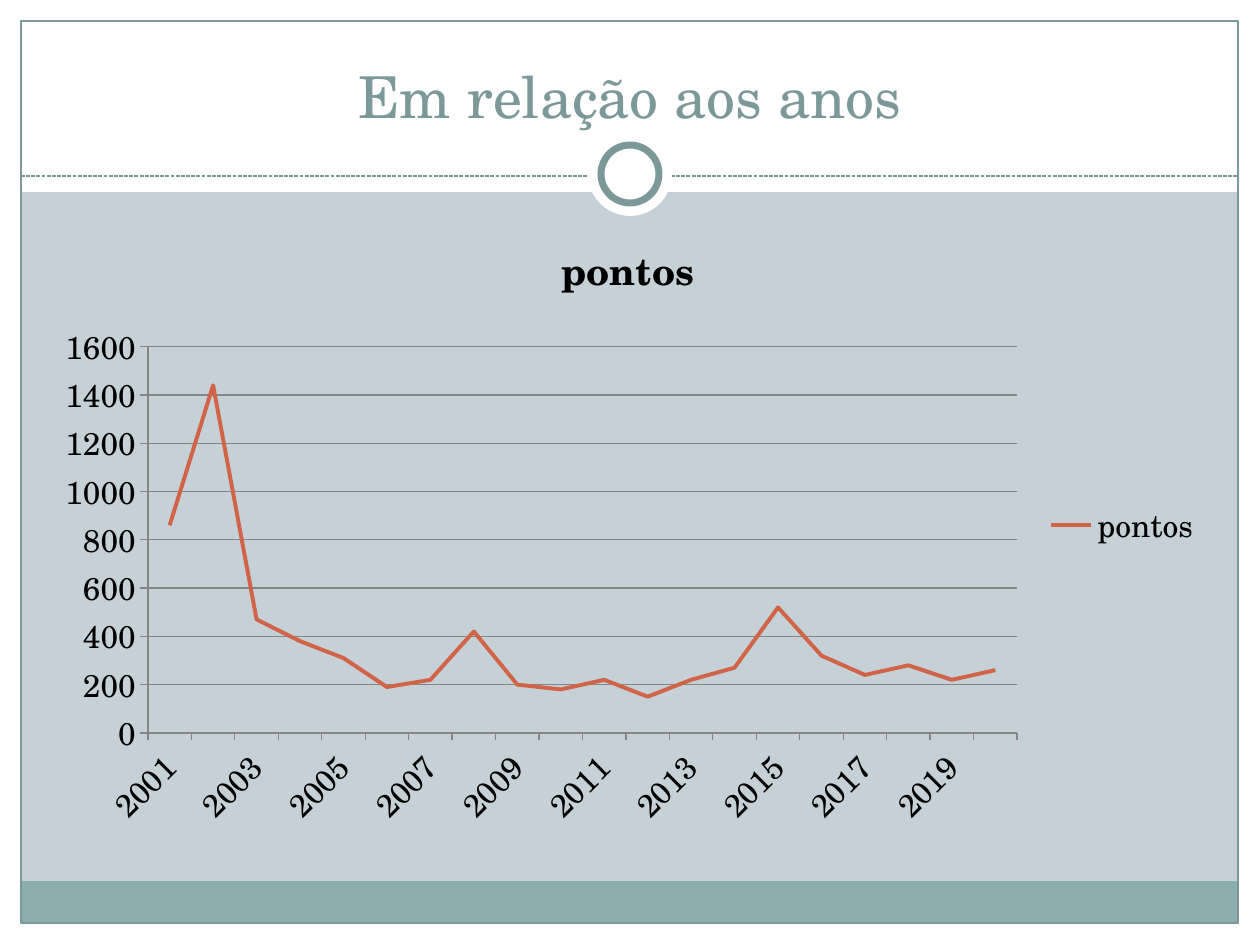
from lxml.etree import SubElement
from pptx import Presentation
from pptx.chart.data import CategoryChartData
from pptx.dml.color import RGBColor
from pptx.enum.chart import XL_CHART_TYPE as CHART, XL_LEGEND_POSITION as LEGEND, XL_TICK_MARK as TICK
from pptx.enum.dml import MSO_LINE as DASH
from pptx.enum.shapes import MSO_CONNECTOR as CONN, MSO_SHAPE as SHAPE
from pptx.enum.text import MSO_ANCHOR as ANCHOR, MSO_AUTO_SIZE as AUTOSIZE, PP_ALIGN as ALIGN
from pptx.oxml.ns import qn
from pptx.util import Pt

EMU_PER_PX = 914400 / 126
FONT = "TeX Gyre Schola"
WHITE, TEAL, BAND, BACK = "FFFFFF", "7C999A", "8CADAE", "C5D1D7"
BLACK, GRID, ORANGE = "000000", "868686", "D16349"
POINTS = [860, 1440, 470, 380, 310, 190, 220, 420, 200, 180,
          220, 150, 220, 270, 520, 320, 240, 280, 220, 260]


def px(*values):
    return [round(v * EMU_PER_PX) for v in values]


def rgb(value):
    return RGBColor.from_string(value)


def apply(target, values):
    for name, value in values.items():
        setattr(target, name, value)


class Deck:
    def __init__(self, width, height):
        self.prs = Presentation()
        self.prs.slide_width, self.prs.slide_height = px(width, height)
        self.s = None

    def slide(self, back):
        self.s = self.prs.slides.add_slide(self.prs.slide_layouts[5])
        fill = self.s.background.fill
        fill.solid()
        fill.fore_color.rgb = rgb(back)

    def font(self, font, size, color, bold=False):
        apply(font, {"name": FONT, "size": Pt(size), "bold": bold})
        font.color.rgb = rgb(color)

    def stroke(self, line, color, width):
        line.color.rgb = rgb(color)
        line.width = Pt(width)

    def shape(self, kind, box, fill=None, line=None, width=0.75):
        sp = self.s.shapes.add_shape(kind, *px(*box))
        sp.shadow.inherit = False
        if fill:
            sp.fill.solid()
            sp.fill.fore_color.rgb = rgb(fill)
        else:
            sp.fill.background()
        if line:
            self.stroke(sp.line, line, width)
        else:
            sp.line.fill.background()

    def dashed_line(self, ends, color):
        line = self.s.shapes.add_connector(CONN.STRAIGHT, *px(*ends))
        self.stroke(line.line, color, 0.75)
        line.line.dash_style = DASH.SQUARE_DOT
        SubElement(line.element.spPr, qn("a:effectLst"))

    def title(self, text, box, size, color):
        sp = self.s.shapes.title
        apply(sp, dict(zip(("left", "top", "width", "height"), px(*box))))
        sp.element.getparent().append(sp.element)
        tf = sp.text_frame
        apply(tf, {"word_wrap": True, "auto_size": AUTOSIZE.NONE,
                   "vertical_anchor": ANCHOR.BOTTOM})
        p = tf.paragraphs[0]
        p.alignment = ALIGN.CENTER
        r = p.add_run()
        r.text = text
        self.font(r.font, size, color)

    def line_chart(self, box, name, categories, values, color):
        data = CategoryChartData()
        data.categories = categories
        data.add_series(name, values)
        chart = self.s.shapes.add_chart(CHART.LINE, *px(*box), data).chart
        self.font(chart.font, 18, BLACK)
        apply(chart, {"has_title": True, "has_legend": True})
        apply(chart.legend, {"position": LEGEND.RIGHT, "include_in_layout": False})
        p = chart.chart_title.text_frame.paragraphs[0]
        r = p.add_run()
        r.text = name
        self.font(r.font, 21.6, BLACK, True)
        for axis in (chart.category_axis, chart.value_axis):
            apply(axis, {"major_tick_mark": TICK.OUTSIDE, "minor_tick_mark": TICK.NONE})
            self.stroke(axis.format.line, GRID, 0.75)
        apply(chart.value_axis, {"has_major_gridlines": True, "minimum_scale": 0,
                                 "maximum_scale": 1600, "major_unit": 200})
        self.stroke(chart.value_axis.major_gridlines.format.line, GRID, 0.75)
        plot = chart.plots[0]
        plot.vary_by_categories = False
        series = plot.series[0]
        series.smooth = False
        self.stroke(series.format.line, color, 2.25)


def main():
    deck = Deck(1260, 945)
    deck.slide(BACK)
    for box in ((0, 924, 1260, 21), (0, 0, 1260, 192), (0, 0, 21, 945), (1239, 0, 21, 945)):
        deck.shape(SHAPE.RECTANGLE, box, WHITE)
    deck.shape(SHAPE.RECTANGLE, (21, 881, 1217, 43), BAND)
    deck.shape(SHAPE.RECTANGLE, (21, 21, 1217, 902), line=TEAL)
    deck.dashed_line((21, 176, 1239, 176), TEAL)
    deck.shape(SHAPE.OVAL, (588, 132, 84, 84), WHITE)
    deck.shape(SHAPE.OVAL, (601, 145, 58, 58), WHITE, TEAL, 4)
    deck.title("Em relação aos anos", (42, 32, 1176, 104), 33, TEAL)
    years = [str(year) for year in range(2001, 2021)]
    deck.line_chart((42, 210, 1172, 630), "pontos", years, POINTS, ORANGE)
    deck.prs.save("out.pptx")


if __name__ == "__main__":
    main()
